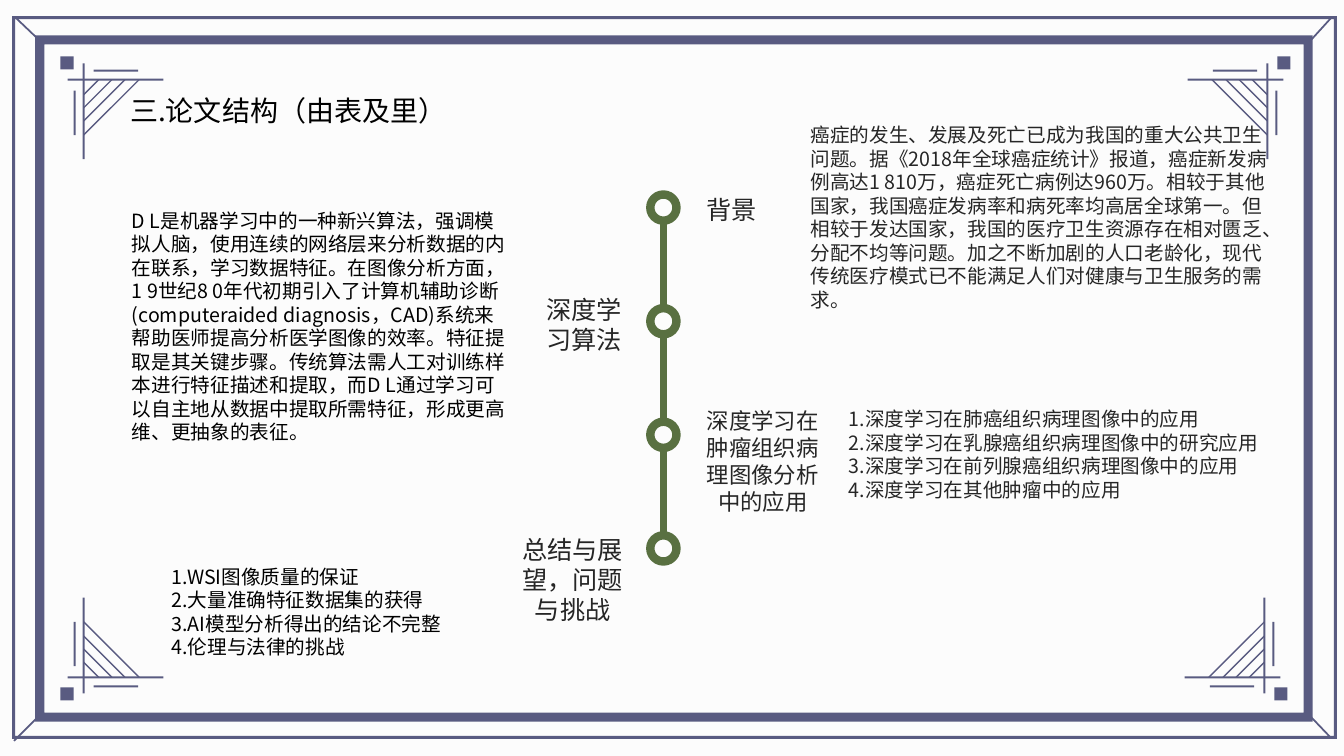
from dataclasses import dataclass

from lxml import etree
from pptx import Presentation
from pptx.dml.color import RGBColor
from pptx.enum.shapes import MSO_CONNECTOR, MSO_SHAPE
from pptx.enum.text import MSO_ANCHOR, MSO_AUTO_SIZE, PP_ALIGN
from pptx.oxml.ns import qn
from pptx.util import Inches, Pt

BACKGROUND = RGBColor(0xFC, 0xFC, 0xFC)
INDIGO = RGBColor(0x59, 0x5B, 0x81)
GREEN = RGBColor(0x59, 0x70, 0x41)
GRAY = RGBColor(0x26, 0x26, 0x26)
BLACK = RGBColor(0, 0, 0)
FONT = "Noto Sans CJK SC"

STRAIGHT = MSO_CONNECTOR.STRAIGHT
RECTANGLE, FRAME, OVAL = MSO_SHAPE.RECTANGLE, MSO_SHAPE.FRAME, MSO_SHAPE.OVAL
LEFT, CENTER = PP_ALIGN.LEFT, PP_ALIGN.CENTER
TOP, MIDDLE = MSO_ANCHOR.TOP, MSO_ANCHOR.MIDDLE
NO_AUTOFIT = MSO_AUTO_SIZE.NONE


@dataclass(frozen=True)
class Box:
    left: float
    top: float
    width: float
    height: float

    def lengths(self) -> list:
        return [Inches(v) for v in (self.left, self.top, self.width, self.height)]


@dataclass(frozen=True)
class Passage:
    box: Box
    lines: tuple
    size: int
    color: RGBColor = GRAY
    align: PP_ALIGN = LEFT
    anchor: MSO_ANCHOR = TOP


@dataclass(frozen=True)
class Corner:
    """Mirror sums: a mirrored coordinate is the sum minus the coordinate."""
    mirror_x: float = 0
    mirror_y: float = 0

    def point(self, x: float, y: float) -> tuple:
        return (self.mirror_x - x if self.mirror_x else x,
                self.mirror_y - y if self.mirror_y else y)


TITLE = Passage(Box(1.19, 0.79, 5.07, 0.6), ("三.论文结构（由表及里）",), 20, BLACK, anchor=MIDDLE)
APPLICATIONS = Passage(Box(8.32, 3.99, 4.63, 2.02), (
    "1.深度学习在肺癌组织病理图像中的应用",
    "2.深度学习在乳腺癌组织病理图像中的研究应用",
    "3.深度学习在前列腺癌组织病理图像中的应用",
    "4.深度学习在其他肿瘤中的应用"), 14)
CHALLENGES = Passage(Box(1.6, 5.55, 5.52, 1.04), (
    "1.WSI图像质量的保证",
    "2.大量准确特征数据集的获得",
    "3.AI模型分析得出的结论不完整",
    "4.伦理与法律的挑战"), 14, BLACK)

TEXT_BOXES = (
    Passage(Box(6.81, 1.88, 0.89, 0.4), ("背景",), 18, align=CENTER),
    Passage(Box(5.24, 2.87, 1.11, 0.84), ("深度学习算法",), 18, align=CENTER),
    Passage(Box(6.82, 3.99, 1.49, 1.78), ("深度学习在肿瘤组织病理图像分析中的应用",), 16, align=CENTER),
    Passage(Box(5.02, 5.25, 1.32, 1.32), ("总结与展望，问题与挑战",), 18, align=CENTER),
    Passage(Box(7.94, 1.17, 4.79, 2.53), (
        "癌症的发生、发展及死亡已成为我国的重大公共卫生问题。据《2018年全球癌症统计》报道，"
        "癌症新发病例高达1 810万，癌症死亡病例达960万。相较于其他国家，我国癌症发病率和病死率"
        "均高居全球第一。但相较于发达国家，我国的医疗卫生资源存在相对匮乏、分配不均等问题。"
        "加之不断加剧的人口老龄化，现代传统医疗模式已不能满足人们对健康与卫生服务的需求。",), 14),
    Passage(Box(1.21, 2.02, 3.92, 2.61), (
        "D L是机器学习中的一种新兴算法，强调模拟人脑，使用连续的网络层来分析数据的内在联系，"
        "学习数据特征。在图像分析方面，1 9世纪8 0年代初期引入了计算机辅助诊断"
        "(computeraided diagnosis，CAD)系统来帮助医师提高分析医学图像的效率。特征提取是其"
        "关键步骤。传统算法需人工对训练样本进行特征描述和提取，而D L通过学习可以自主地从数据中"
        "提取所需特征，形成更高维、更抽象的表征。",), 14, BLACK),
)

# Bars of the top left corner; the other corners mirror them
CORNER_BARS = (
    Box(0.67, 0.78, 0.95, 0.02), Box(0.82, 0.63, 0.02, 0.95), Box(0.6, 0.56, 0.13, 0.13),
    Box(0.73, 0.9, 0.02, 0.44), Box(0.93, 0.69, 0.44, 0.02),
)
HATCH_LEGS = (0.55, 0.41, 0.28, 0.15)
CORNERS = (Corner(), Corner(13.4), Corner(0, 7.51), Corner(13.37, 7.51))
MITRES = (((0.14, 7.35), (0.4, 7.09)), ((0.16, 0.18), (0.38, 0.39)),
          ((13, 0.4), (13.2, 0.18)), ((13, 7.11), (13.2, 7.32)))
FRAMES = ((Box(0.12, 0.16, 13.14, 7.17), 0.03), (Box(0.35, 0.35, 12.67, 6.81), 0.09))

NODE_SIZE, NODE_LEFT, NODE_TOP, NODE_STEP = 0.26, 6.45, 1.93, 1.127


def add_solid(slide, kind: MSO_SHAPE, box: Box, color: RGBColor):
    shape = slide.shapes.add_shape(kind, *box.lengths())
    shape.shadow.inherit = False
    shape.fill.solid()
    shape.fill.fore_color.rgb = color
    shape.line.fill.background()
    return shape


def add_line(slide, start: tuple, end: tuple, color: RGBColor, width: float) -> None:
    line = slide.shapes.add_connector(STRAIGHT, *(Inches(v) for v in (*start, *end)))
    line.line.color.rgb = color
    line.line.width = Pt(width)
    etree.SubElement(line._element.spPr, qn("a:effectLst"))


def add_corner(slide, corner: Corner) -> None:
    for bar in CORNER_BARS:
        x1, y1 = corner.point(bar.left, bar.top)
        x2, y2 = corner.point(bar.left + bar.width, bar.top + bar.height)
        add_solid(slide, RECTANGLE, Box(min(x1, x2), min(y1, y2), bar.width, bar.height), INDIGO)
    for leg in HATCH_LEGS:
        add_line(slide, corner.point(0.83, 0.79 + leg), corner.point(0.83 + leg, 0.79), INDIGO, 1)


def write(shape, passage: Passage) -> None:
    shape.left, shape.top, shape.width, shape.height = passage.box.lengths()
    frame = shape.text_frame
    frame.text = "\n".join(passage.lines)
    frame.word_wrap = True
    frame.auto_size = NO_AUTOFIT
    frame.vertical_anchor = passage.anchor
    for paragraph in frame.paragraphs:
        paragraph.alignment = passage.align
        paragraph.space_before = Pt(0)
        properties = paragraph._p.get_or_add_pPr()
        properties.set("marL", "0")
        properties.set("indent", "0")
        etree.SubElement(properties, qn("a:buNone"))
        for run in paragraph.runs:
            run.font.name = FONT
            run.font.size = Pt(passage.size)
            run.font.color.rgb = passage.color
            etree.SubElement(run._r.get_or_add_rPr(), qn("a:ea")).set("typeface", FONT)


def main() -> None:
    presentation = Presentation()
    presentation.slide_width, presentation.slide_height = Inches(13.33), Inches(7.5)
    slide = presentation.slides.add_slide(presentation.slide_layouts[3])
    slide.background.fill.solid()
    slide.background.fill.fore_color.rgb = BACKGROUND

    # Border
    for corner in CORNERS:
        add_corner(slide, corner)
    for box, thickness in FRAMES:
        frame = add_solid(slide, FRAME, box, INDIGO)
        frame.adjustments[0] = thickness / box.height
    for start, end in MITRES:
        add_line(slide, start, end, INDIGO, 1.25)

    # Timeline
    node_tops = [NODE_TOP + NODE_STEP * i for i in range(4)]
    for top in node_tops:
        node = add_solid(slide, OVAL, Box(NODE_LEFT, top, NODE_SIZE, NODE_SIZE), BACKGROUND)
        node.line.color.rgb = GREEN
        node.line.width = Pt(6)
    middle = NODE_LEFT + NODE_SIZE / 2
    for upper, lower in zip(node_tops, node_tops[1:]):
        add_line(slide, (middle, upper + NODE_SIZE), (middle, lower), GREEN, 5)

    # Text
    for shape, passage in zip(slide.placeholders, (TITLE, APPLICATIONS, CHALLENGES)):
        write(shape, passage)
    for passage in TEXT_BOXES:
        write(slide.shapes.add_textbox(*passage.box.lengths()), passage)

    presentation.save("out.pptx")


if __name__ == "__main__":
    main()
